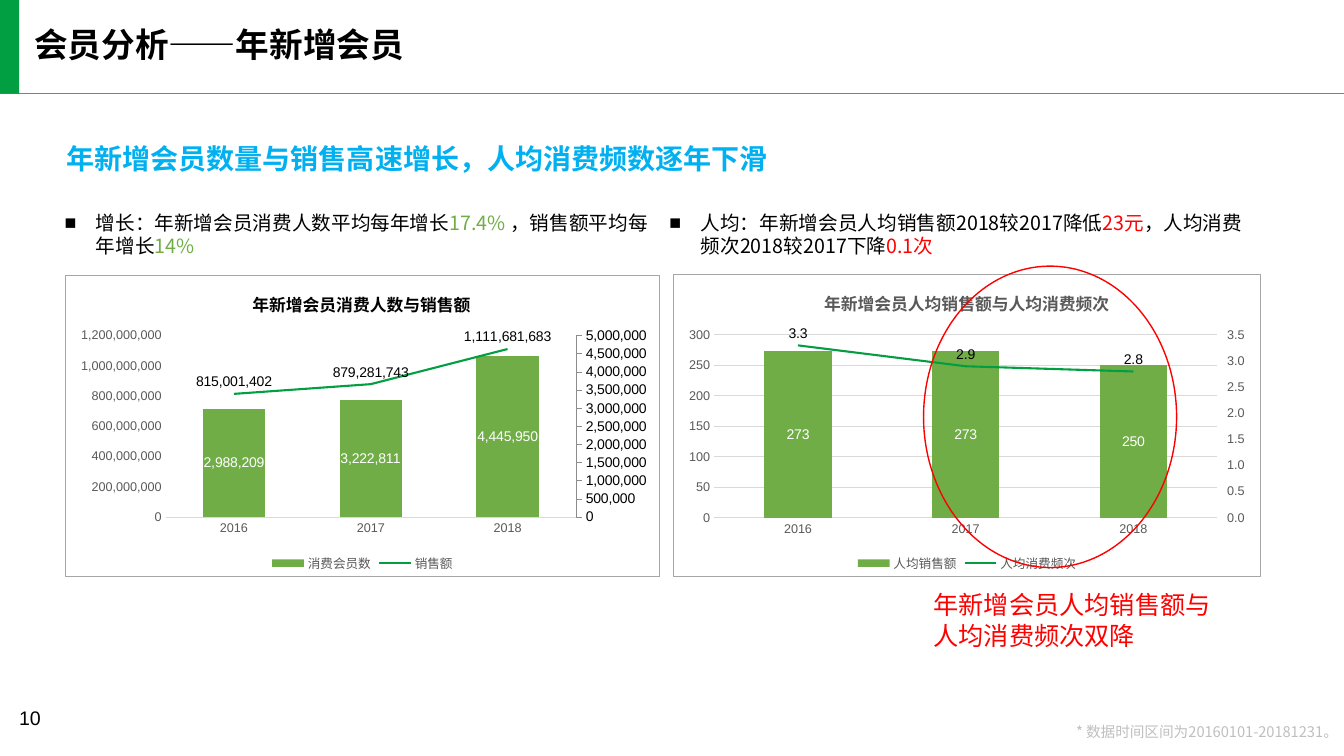
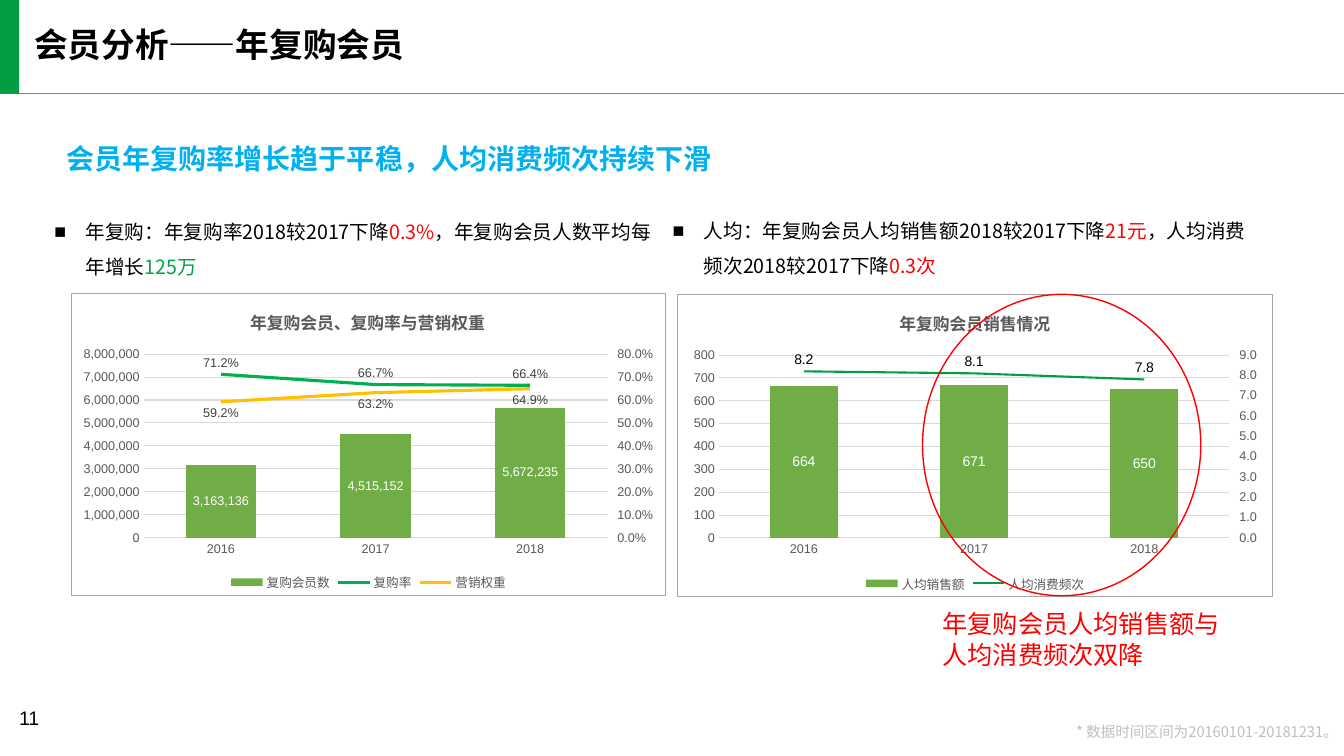
import copy

import pptx
import pptx.chart.axis
import pptx.chart.data
import pptx.dml.color
import pptx.enum.chart
import pptx.enum.shapes
import pptx.enum.text
import pptx.oxml
import pptx.oxml.ns
import pptx.util
from lxml import etree

Inches, Pt = pptx.util.Inches, pptx.util.Pt
qn, nsdecls = pptx.oxml.ns.qn, pptx.oxml.ns.nsdecls
MIDDLE = pptx.enum.text.MSO_ANCHOR.MIDDLE
TICK = pptx.enum.chart.XL_TICK_MARK
LABEL = pptx.enum.chart.XL_LABEL_POSITION

CJK, LATIN = "Noto Sans CJK SC", "Arial"
C = {
    "black": "000000", "white": "FFFFFF", "red": "FF0000", "sky": "00B0F0",
    "brand": "029E42", "rule": "7F7F7F", "bar": "70AD47", "emerald": "00B050",
    "growth": "01A145", "amber": "FFC000", "grid": "D9D9D9", "border": "A6A6A6",
    "axis": "8C8C8C", "grey": "595959", "dark": "404040", "note": "BFBFBF",
}
YEARS = ["2016", "2017", "2018"]
FOOTNOTE = "* 数据时间区间为20160101-20181231。"

# Axes are (maximum, major unit, number format).
# Series are (name, values, colour, label format); the first one is the bars.
SLIDES = [
    {
        "number": "10",
        "title": "会员分析——年新增会员",
        "heading": "年新增会员数量与销售高速增长，人均消费频数逐年下滑",
        "spacing": 1.0,
        "bullets": [
            ((0.64, 2.09, 5.87, 0.47), [
                ("增长：年新增会员消费人数平均每年增长", "black"), ("17.4% ", "bar"),
                ("，销售额平均每年增长", "black"), ("14%", "bar")]),
            ((6.64, 2.09, 5.84, 0.47), [
                ("人均：年新增会员人均销售额2018较2017降低", "black"), ("23元", "red"),
                ("，人均消费频次2018较2017下降", "black"), ("0.1次", "red")]),
        ],
        "charts": [
            {"box": (0.64, 2.73, 5.91, 2.99), "title": "年新增会员消费人数与销售额",
             "title_color": "black", "title_x": 0.31, "plot": (0.169, 0.2, 0.69, 0.604),
             "bars_right": True, "gap": 120, "overlap": 0, "label_size": 10,
             "label_color": "black", "line_width": 1.5,
             "bar_axis": (5000000, 500000, "#,##0"),
             "line_axis": (1200000000, 200000000, "#,##0"),
             "series": [
                 ("消费会员数", (2988209, 3222811, 4445950), "bar", "#,##0"),
                 ("销售额", (815001402, 879281743, 1111681683), "brand", "#,##0")]},
            {"box": (6.67, 2.72, 5.84, 3), "title": "年新增会员人均销售额与人均消费频次",
             "title_color": "grey", "title_x": 0.252, "plot": (0.07, 0.2, 0.856, 0.607),
             "bars_right": False, "gap": 150, "overlap": -27, "label_size": 10,
             "label_color": "black", "line_width": 1.5,
             "bar_axis": (300, 50, "0"), "line_axis": (3.5, 0.5, "0.0"),
             "series": [
                 ("人均销售额", (273, 273, 250), "bar", "0"),
                 ("人均消费频次", (3.3, 2.9, 2.8), "brand", "0.0")]},
        ],
        "ring": (9.16, 2.64, 2.51, 2.99),
        "callout": ((9.16, 5.8, 3.03, 0.71), "年新增会员人均销售额与人均消费频次双降"),
    },
    {
        "number": "11",
        "title": "会员分析——年复购会员",
        "heading": "会员年复购率增长趋于平稳，人均消费频次持续下滑",
        "spacing": 1.5,
        "bullets": [
            ((0.54, 2.08, 5.94, 0.67), [
                ("年复购：年复购率2018较2017下降", "black"), ("0.3%", "red"),
                ("，年复购会员人数平均每年增长", "black"), ("125万", "growth")]),
            ((6.67, 2.07, 5.85, 0.67), [
                ("人均：年复购会员人均销售额2018较2017下降", "black"), ("21元", "red"),
                ("，人均消费频次2018较2017下降", "black"), ("0.3次", "red")]),
        ],
        "charts": [
            {"box": (0.7, 2.91, 5.91, 3), "title": "年复购会员、复购率与营销权重",
             "title_color": "grey", "title_x": 0.296, "plot": (0.122, 0.2, 0.78, 0.61),
             "bars_right": False, "gap": 120, "overlap": 0, "label_size": 9,
             "label_color": "dark", "line_width": 2.25,
             "bar_axis": (8000000, 1000000, "#,##0"), "line_axis": (0.8, 0.1, "0.0%"),
             "series": [
                 ("复购会员数", (3163136, 4515152, 5672235), "bar", "#,##0"),
                 ("复购率", (0.712, 0.667, 0.664), "emerald", "0.0%"),
                 ("营销权重", (0.592, 0.632, 0.649), "amber", "0.0%")]},
            {"box": (6.71, 2.92, 5.92, 3), "title": "年复购会员销售情况",
             "title_color": "grey", "title_x": 0.368, "plot": (0.07, 0.2, 0.857, 0.607),
             "bars_right": False, "gap": 150, "overlap": -27, "label_size": 10,
             "label_color": "black", "line_width": 1.5,
             "bar_axis": (800, 100, "0"), "line_axis": (9, 1, "0.0"),
             "series": [
                 ("人均销售额", (664, 671, 650), "bar", "0"),
                 ("人均消费频次", (8.2, 8.1, 7.8), "brand", "0.0")]},
        ],
        "ring": (9.15, 2.92, 2.76, 2.99),
        "callout": ((9.25, 5.99, 3.03, 0.71), "年复购会员人均销售额与人均消费频次双降"),
    },
]


def rgb(name):
    return pptx.dml.color.RGBColor.from_string(C[name])


def inches(box):
    return [Inches(v) for v in box]


def style_font(font, size, color, name=LATIN, bold=False):
    font.size, font.name, font.bold = Pt(size), name, bold
    font.color.rgb = rgb(color)


def add_run(p, text, size, color, name=CJK, bold=False):
    r = p.add_run()
    r.text = text
    style_font(r.font, size, color, name, bold)
    etree.SubElement(r.font._element, qn("a:ea")).set("typeface", CJK)


def add_text(s, box, runs, size, name=CJK, bold=False, inset=True, anchor=None,
             spacing=None, bullet=False, align=None, wrap=True):
    tf = s.shapes.add_textbox(*inches(box)).text_frame
    tf.word_wrap = wrap
    if not inset:
        tf.margin_left = tf.margin_right = tf.margin_top = tf.margin_bottom = 0
    if anchor is not None:
        tf.vertical_anchor = anchor
    p = tf.paragraphs[0]
    if bullet:
        pPr = p._p.get_or_add_pPr()
        pPr.set("marL", str(Inches(0.31)))
        pPr.set("indent", str(-Inches(0.31)))
        etree.SubElement(pPr, qn("a:buFont")).set("typeface", LATIN)
        etree.SubElement(pPr, qn("a:buChar")).set("char", "■")
    if spacing is not None:
        p.line_spacing = spacing
    if align is not None:
        p.alignment = align
    for text, color in runs:
        add_run(p, text, size, color, name, bold)


def add_shape(s, kind, box, fill=None, line=None):
    sp = s.shapes.add_shape(kind, *inches(box))
    sp.shadow.inherit = False
    if fill:
        sp.fill.solid()
        sp.fill.fore_color.rgb = rgb(fill)
    else:
        sp.fill.background()
    if line:
        sp.line.color.rgb, sp.line.width = rgb(line), Pt(1)
    else:
        sp.line.fill.background()


def add_frame(s, data):
    """Draw the title band, heading, page number and footnote."""
    rule = s.shapes.add_connector(pptx.enum.shapes.MSO_CONNECTOR.STRAIGHT,
                                  *inches((0, 0.93, 13.33, 0.93)))
    rule.line.color.rgb, rule.line.width = rgb("rule"), Pt(1)
    etree.SubElement(rule._element.spPr, qn("a:effectLst"))
    add_shape(s, pptx.enum.shapes.MSO_SHAPE.RECTANGLE, (0, -0.01, 0.19, 0.94), "brand")
    add_text(s, (0.34, 0.28, 6.29, 0.36), [(data["title"], "black")], 24,
             bold=True, inset=False, spacing=0.9)
    add_text(s, (0.66, 1.48, 12.06, 0.26), [(data["heading"], "sky")], 20,
             bold=True, inset=False, anchor=MIDDLE, spacing=Pt(18))
    add_text(s, (0.09, 6.95, 0.91, 0.4), [(data["number"], "black")], 14, LATIN)
    add_text(s, (10.54, 7.19, 2.73, 0.16), [(FOOTNOTE, "note")], 10.5, inset=False,
             spacing=0.9, align=pptx.enum.text.PP_ALIGN.RIGHT, wrap=False)


def manual_layout(target, **sizes):
    parts = "".join(f'<c:{k} val="{v}"/>' for k, v in sizes.items())
    return pptx.oxml.parse_xml(
        f'<c:layout {nsdecls("c")}><c:manualLayout>{target}<c:xMode val="edge"/>'
        f'<c:yMode val="edge"/>{parts}</c:manualLayout></c:layout>')


def drop_layout(element):
    for old in element.findall(qn("c:layout")):
        element.remove(old)


def split_lines(bar, cat_ax, val_ax):
    """Move every series but the first to a line plot; return its axes."""
    line = pptx.oxml.parse_xml(
        f'<c:lineChart {nsdecls("c")}><c:grouping val="standard"/>'
        '<c:varyColors val="0"/><c:marker val="1"/>'
        '<c:axId val="5001"/><c:axId val="5002"/></c:lineChart>')
    for ser in bar.findall(qn("c:ser"))[1:]:
        for flag in ser.findall(qn("c:invertIfNegative")):
            ser.remove(flag)
        line.find(qn("c:marker")).addprevious(ser)
    bar.addnext(line)
    axes = [copy.deepcopy(ax) for ax in (cat_ax, val_ax)]
    for ax, own, other in zip(axes, ("5001", "5002"), ("5002", "5001")):
        ax.find(qn("c:axId")).set("val", own)
        ax.find(qn("c:crossAx")).set("val", other)
    val_ax.addnext(axes[0])
    axes[0].addnext(axes[1])
    return axes


def style_value_axis(ax, scale, on_left, strong):
    ax.minimum_scale = 0
    ax.maximum_scale, ax.major_unit, fmt = scale
    ax.tick_labels.number_format, ax.tick_labels.number_format_is_linked = fmt, False
    ax.major_tick_mark = TICK.OUTSIDE if strong else TICK.NONE
    ax.minor_tick_mark = TICK.NONE
    style_font(ax.tick_labels.font, 10 if strong else 9, "black" if strong else "grey")
    ax.has_major_gridlines = on_left
    if on_left:
        grid = ax.major_gridlines.format.line
        grid.color.rgb, grid.width = rgb("grid"), Pt(0.75)
    else:
        ax.tick_label_position = pptx.enum.chart.XL_TICK_LABEL_POSITION.HIGH
    if strong:
        ax.format.line.color.rgb, ax.format.line.width = rgb("axis"), Pt(0.5)
    else:
        ax.format.line.fill.background()
    ax._element.find(qn("c:axPos")).set("val", "l" if on_left else "r")
    for crosses in ax._element.findall(qn("c:crosses")):
        crosses.set("val", "autoZero" if on_left else "max")


def style_labels(ser, fmt, position, size, color):
    labels = ser.data_labels
    labels.show_value = True
    labels.number_format, labels.number_format_is_linked = fmt, False
    labels.position = position
    style_font(labels.font, size, color)


def add_combo_chart(s, d):
    data = pptx.chart.data.CategoryChartData()
    data.categories = YEARS
    for name, values, _, fmt in d["series"]:
        data.add_series(name, values, fmt)
    chart = s.shapes.add_chart(pptx.enum.chart.XL_CHART_TYPE.COLUMN_CLUSTERED,
                               *inches(d["box"]), data).chart
    style_font(chart.font, 10, "black")
    space = chart._chartSpace
    space.find(qn("c:chart")).addnext(pptx.oxml.parse_xml(
        f'<c:spPr {nsdecls("c", "a")}><a:solidFill><a:srgbClr val="{C["white"]}"/>'
        f'</a:solidFill><a:ln w="9525"><a:solidFill><a:srgbClr val="{C["border"]}"/>'
        '</a:solidFill></a:ln></c:spPr>'))

    add_run(chart.chart_title.text_frame.paragraphs[0], d["title"], 12,
            d["title_color"], CJK, True)
    title = chart.chart_title._element
    drop_layout(title)
    title.find(qn("c:tx")).addnext(manual_layout("", x=d["title_x"], y=0.037))
    chart.has_legend = True
    chart.legend.position = pptx.enum.chart.XL_LEGEND_POSITION.BOTTOM
    chart.legend.include_in_layout = False
    style_font(chart.legend.font, 9, "grey")

    bars = chart.plots[0]
    bars.gap_width, bars.overlap, bars.vary_by_categories = d["gap"], d["overlap"], False
    bar_cat, bar_val = chart.category_axis, chart.value_axis
    cat_el, val_el = split_lines(bars._element, bar_cat._element, bar_val._element)
    line_cat = pptx.chart.axis.CategoryAxis(cat_el)
    line_val = pptx.chart.axis.ValueAxis(val_el)

    right = d["bars_right"]
    style_value_axis(bar_val, d["bar_axis"], not right, right)
    style_value_axis(line_val, d["line_axis"], right, False)
    shown, hidden = (line_cat, bar_cat) if right else (bar_cat, line_cat)
    hidden.visible = False
    shown.major_tick_mark = TICK.NONE
    shown.format.line.color.rgb, shown.format.line.width = rgb("grid"), Pt(0.75)
    style_font(shown.tick_labels.font, 9, "grey")

    _, _, color, fmt = d["series"][0]
    ser = bars.series[0]
    ser.format.fill.solid()
    ser.format.fill.fore_color.rgb = rgb(color)
    style_labels(ser, fmt, LABEL.CENTER, d["label_size"], "white")
    positions = (LABEL.ABOVE, LABEL.BELOW)
    for ser, (_, _, color, fmt), pos in zip(chart.plots[1].series, d["series"][1:], positions):
        ser.smooth = False
        ser.marker.style = pptx.enum.chart.XL_MARKER_STYLE.NONE
        ser.format.line.color.rgb, ser.format.line.width = rgb(color), Pt(d["line_width"])
        style_labels(ser, fmt, pos, d["label_size"], d["label_color"])

    area = bars._element.getparent()
    drop_layout(area)
    area.insert(0, manual_layout('<c:layoutTarget val="inner"/>',
                                 **dict(zip("xywh", d["plot"]))))


def main():
    prs = pptx.Presentation()
    prs.slide_width, prs.slide_height = Inches(13.33), Inches(7.5)
    for data in SLIDES:
        s = prs.slides.add_slide(prs.slide_layouts[6])
        add_frame(s, data)
        for box, runs in data["bullets"]:
            add_text(s, box, runs, 14, inset=False, anchor=MIDDLE,
                     spacing=data["spacing"], bullet=True)
        for chart in data["charts"]:
            add_combo_chart(s, chart)
        add_shape(s, pptx.enum.shapes.MSO_SHAPE.OVAL, data["ring"], line="red")
        box, text = data["callout"]
        add_text(s, box, [(text, "red")], 18, LATIN)
    prs.save("out.pptx")


if __name__ == "__main__":
    main()
